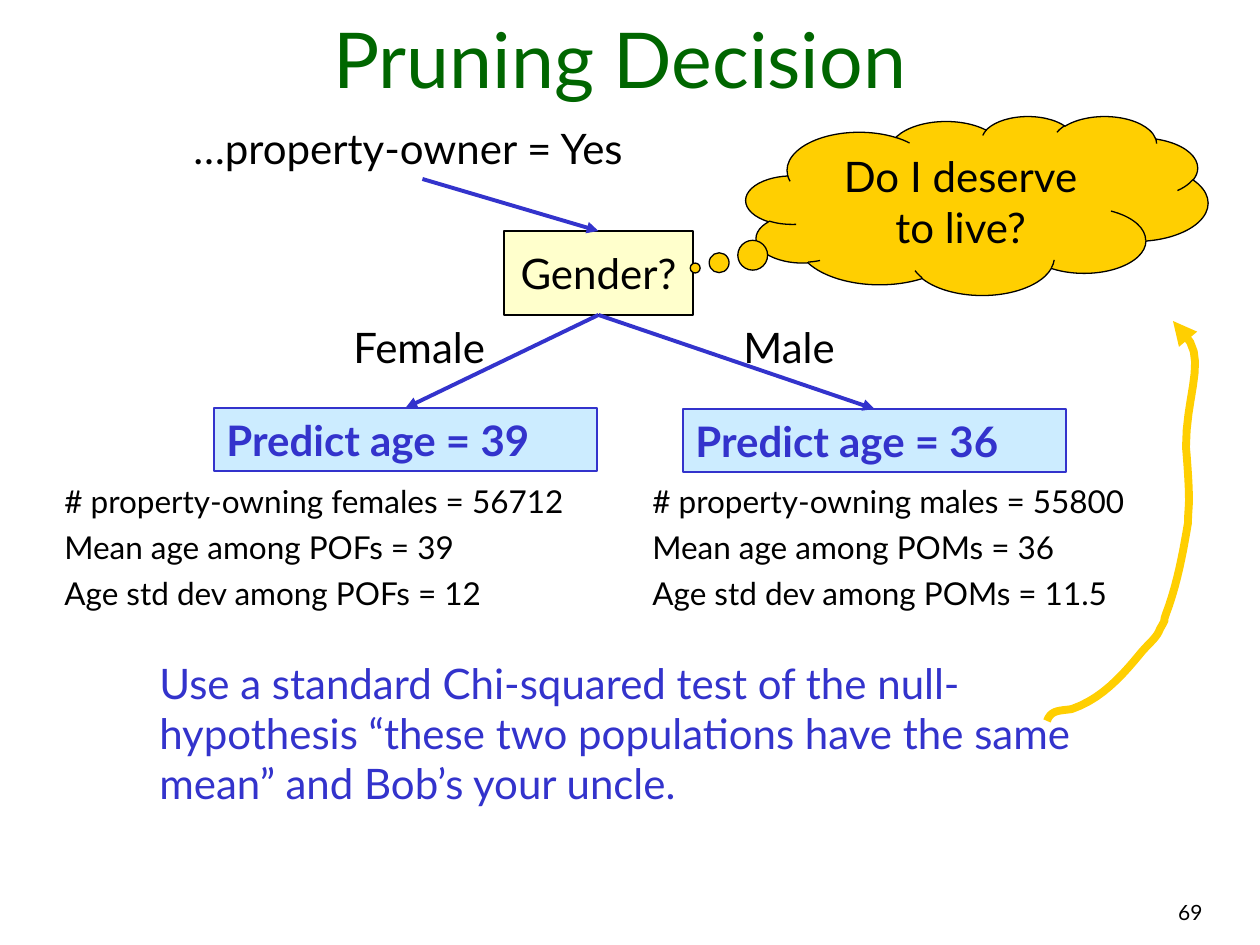
from lxml import etree
from pptx import Presentation
from pptx.dml.color import RGBColor
from pptx.enum.shapes import MSO_CONNECTOR, MSO_SHAPE
from pptx.enum.text import MSO_ANCHOR, MSO_AUTO_SIZE, PP_ALIGN
from pptx.oxml.ns import qn
from pptx.util import Pt

PX = 914400 // 126
FONT = "Lato"
LEFT, MID, RIGHT = PP_ALIGN.LEFT, PP_ALIGN.CENTER, PP_ALIGN.RIGHT
TOP, CENTER, BOTTOM = MSO_ANCHOR.TOP, MSO_ANCHOR.MIDDLE, MSO_ANCHOR.BOTTOM
FIXED = MSO_AUTO_SIZE.NONE
RECT, CLOUD = MSO_SHAPE.RECTANGLE, MSO_SHAPE.CLOUD_CALLOUT
LINE = MSO_CONNECTOR.STRAIGHT
HUES = {
    "black": "000000", "green": "006600", "blue": "3333CC",
    "sky": "CCECFF", "cream": "FFFFCC", "gold": "FFCF01",
}
START = (1047, 721)
CURVES = [
    ((1051, 709), (1062, 711), (1072, 709)),
    ((1101, 699), (1121, 677), (1140, 654)),
    ((1147, 645), (1157, 638), (1160, 629)),
    ((1168, 615), (1162, 625), (1166, 614)),
    ((1177, 585), (1183, 553), (1188, 523)),
    ((1188, 514), (1189, 507), (1189, 499)),
    ((1189, 481), (1186, 447), (1186, 447)),
    ((1186, 388), (1213, 350), (1174, 326)),
    ((1174, 324), (1173, 321), (1173, 321)),
]


def hue(name):
    return RGBColor.from_string(HUES[name])


def scale(*nums):
    return [n * PX for n in nums]


def write(shape, text, size=24, color="black", bold=False, align=LEFT,
          anchor=TOP, wrap=True, lead=None, gap=0):
    frame = shape.text_frame
    frame.text = text
    frame.auto_size = FIXED
    frame.word_wrap = wrap
    frame.vertical_anchor = anchor
    for i, para in enumerate(frame.paragraphs):
        para.alignment = align
        para.line_spacing = lead
        para.space_before = Pt(gap if i else 0)
        font = para.font
        font.name, font.size, font.bold = FONT, Pt(size), bold
        font.color.rgb = hue(color)


def label(slide, at, text, **style):
    box = slide.shapes.add_textbox(*scale(*at))
    write(box, text, **style)
    return box


def block(slide, kind, at, text, fill, edge, **style):
    shape = slide.shapes.add_shape(kind, *scale(*at))
    shape.shadow.inherit = False
    shape.fill.solid()
    shape.fill.fore_color.rgb = hue(fill)
    shape.line.color.rgb = hue(edge)
    shape.line.width = Pt(0.75)
    write(shape, text, **style)
    return shape


def stroke(shape, color, width):
    shape.line.color.rgb = hue(color)
    shape.line.width = Pt(width)
    props = shape.line._get_or_add_ln()
    etree.SubElement(props, qn("a:tailEnd"), type="triangle")


def arrow(slide, source, target):
    link = slide.shapes.add_connector(LINE, 0, 0, 0, 0)
    link.begin_connect(source, 2)
    link.end_connect(target, 0)
    stroke(link, "blue", 2.25)
    etree.SubElement(link._element.spPr, qn("a:effectLst"))


def bend(points, t):
    while len(points) > 1:
        points = [[a + (b - a) * t for a, b in zip(p, q)]
                  for p, q in zip(points, points[1:])]
    return tuple(round(n * PX) for n in points[0])


def swoop(slide, start, curves, steps=10):
    pen = slide.shapes.build_freeform(*scale(*start))
    dots = []
    for curve in curves:
        dots += [bend([start, *curve], n / steps) for n in range(1, steps + 1)]
        start = curve[-1]
    pen.add_line_segments(dots, close=False)
    shape = pen.convert_to_shape()
    shape.shadow.inherit = False
    shape.fill.background()
    stroke(shape, "gold", 4.5)


def main():
    deck = Presentation()
    deck.slide_width, deck.slide_height = scale(1260, 945)
    slide = deck.slides.add_slide(deck.slide_layouts[5])

    title = slide.shapes.title
    title.left, title.top, title.width, title.height = scale(32, 21, 1176, 89)
    write(title, "Pruning Decision", size=44, color="green", align=MID,
          anchor=BOTTOM)
    label(slide, (721, 893, 494, 42), "69", size=12, align=RIGHT)

    root = label(slide, (181, 116, 483, 63), "…property-owner = Yes", wrap=False)
    test = block(slide, RECT, (504, 231, 189, 84), "Gender?", "cream", "black",
                 align=MID, anchor=CENTER, wrap=False)
    arrow(slide, root, test)

    sides = [
        ((214, 408), (341, 168), 52, "Female", "females", "POFs", "39", "12", "56712"),
        ((683, 409), (731, 121), 640, "Male", "males", "POMs", "36", "11.5", "55800"),
    ]
    for spot, (x, wide), left, sex, group, code, age, dev, count in sides:
        leaf = block(slide, RECT, (*spot, 383, 63), f"Predict age = {age}",
                     "sky", "blue", color="blue", bold=True)
        arrow(slide, test, leaf)
        label(slide, (x, 315, wide, 63), sex, wrap=False)
        facts = (f"# property-owning {group} = {count}\n"
                 f"Mean age among {code} = {age}\n"
                 f"Age std dev among {code} = {dev}")
        label(slide, (left, 486, 567, 131), facts, size=18, lead=0.7, gap=11.2)

    label(slide, (147, 651, 966, 164),
          "Use a standard Chi-squared test of the null-hypothesis “these two "
          "populations have the same mean” and Bob’s your uncle.", color="blue")
    cloud = block(slide, CLOUD, (746, 116, 462, 179), "Do I deserve to live?",
                  "gold", "black", align=MID, anchor=CENTER)
    cloud.adjustments[0], cloud.adjustments[1] = -0.61, 0.35
    swoop(slide, START, CURVES)
    deck.save("out.pptx")


if __name__ == "__main__":
    main()
